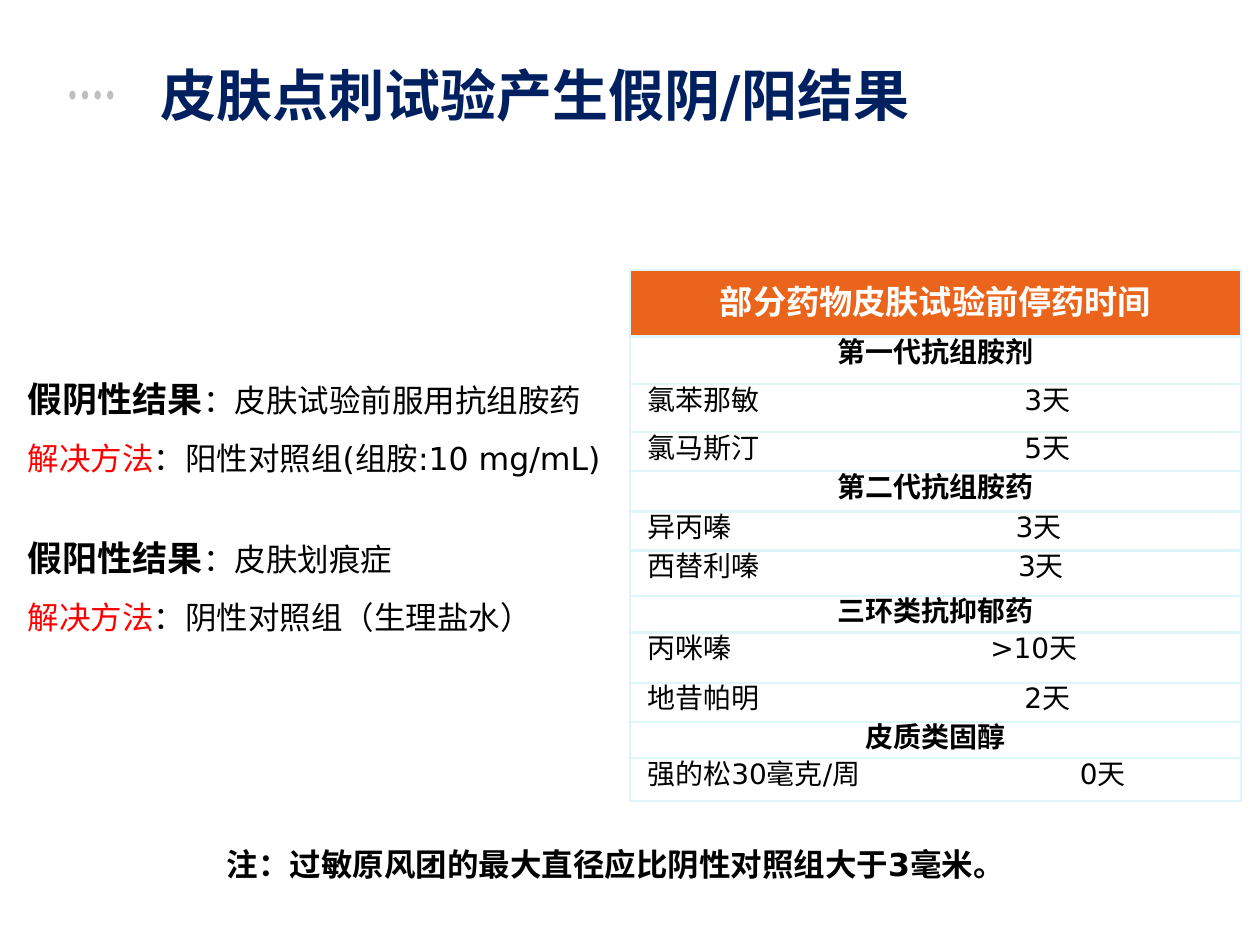
from lxml import etree
from pptx import Presentation
from pptx.dml.color import RGBColor
from pptx.enum.shapes import MSO_SHAPE
from pptx.enum.text import MSO_ANCHOR, MSO_AUTO_SIZE, PP_ALIGN
from pptx.oxml.ns import qn
from pptx.util import Inches, Pt

OVAL = MSO_SHAPE.OVAL
TOP, MIDDLE = MSO_ANCHOR.TOP, MSO_ANCHOR.MIDDLE
NO_AUTOFIT = MSO_AUTO_SIZE.NONE
LEFT, CENTER = PP_ALIGN.LEFT, PP_ALIGN.CENTER

FONT = "DejaVu Sans"
BLACK = RGBColor(0x00, 0x00, 0x00)
WHITE = RGBColor(0xFF, 0xFF, 0xFF)
RED = RGBColor(0xFF, 0x00, 0x00)
NAVY = RGBColor(0x00, 0x20, 0x60)
GRAY = RGBColor(0xBF, 0xBF, 0xBF)
ORANGE = RGBColor(0xEB, 0x64, 0x1B)
PALE_BLUE = RGBColor(0xDE, 0xF5, 0xFA)


def add_run(paragraph, text, size, color=BLACK, bold=False):
    run = paragraph.add_run()
    run.text = text
    formats = {"name": FONT, "size": Pt(size), "bold": bold}
    for name, value in formats.items():
        setattr(run.font, name, value)
    run.font.color.rgb = color
    etree.SubElement(run.font._element, qn("a:ea"), typeface=FONT)


def set_frame(shape, left, top, width, height, wrap=True):
    shape.left, shape.top = Inches(left), Inches(top)
    shape.width, shape.height = Inches(width), Inches(height)
    frame = shape.text_frame
    formats = {"word_wrap": wrap, "auto_size": NO_AUTOFIT, "vertical_anchor": TOP}
    for name, value in formats.items():
        setattr(frame, name, value)
    return frame


presentation = Presentation()
presentation.slide_width, presentation.slide_height = Inches(10), Inches(7.5)
slide = presentation.slides.add_slide(presentation.slide_layouts[3])

# Row of dots beside the title
for index in range(4):
    dot = slide.shapes.add_shape(
        OVAL, Inches(0.55 + 0.1 * index), Inches(0.72), Inches(0.05), Inches(0.07))
    dot.shadow.inherit = False
    dot.fill.solid()
    dot.fill.fore_color.rgb = GRAY
    dot.line.fill.background()

# Title
title = set_frame(slide.shapes.title, 1.17, 0.43, 6.35, 1.17).paragraphs[0]
title.alignment = LEFT
add_run(title, "皮肤点刺试验产生假阴/阳结果", 32, NAVY, True)

# False results and their remedies
results = [
    (1, (0.12, 2.88, 9.46, 1.42), 1.2, 0,
     "假阴性结果", "：皮肤试验前服用抗组胺药", "：阳性对照组(组胺:10 mg/mL)"),
    (2, (0.12, 4.21, 5.32, 0.9), 1.0, 4,
     "假阳性结果", "：皮肤划痕症", "：阴性对照组（生理盐水）"),
]
for placeholder, box, spacing, before, result, cause, remedy in results:
    frame = set_frame(slide.placeholders[placeholder], *box)
    cause_paragraph, remedy_paragraph = frame.paragraphs[0], frame.add_paragraph()
    for paragraph in (cause_paragraph, remedy_paragraph):
        paragraph.line_spacing = spacing
        paragraph.space_before = Pt(0)
        paragraph.space_after = Pt(7)
        properties = paragraph._p.get_or_add_pPr()
        properties.set("marL", "0")
        properties.set("indent", "0")
        etree.SubElement(properties, qn("a:buNone"))
    remedy_paragraph.space_before = Pt(before)
    add_run(cause_paragraph, result, 20, bold=True)
    add_run(cause_paragraph, cause, 18)
    add_run(remedy_paragraph, "解决方法", 18, RED)
    add_run(remedy_paragraph, remedy, 18)

# Withdrawal times: row height, text, tab stop of the time
rows = [
    (0.53, "部分药物皮肤试验前停药时间", None),
    (0.38, "第一代抗组胺剂", None),
    (0.38, "氯苯那敏\t3天", 2.99),
    (0.31, "氯马斯汀\t5天", 2.99),
    (0.32, "第二代抗组胺药", None),
    (0.31, "异丙嗪\t3天", 2.92),
    (0.36, "西替利嗪\t3天", 2.94),
    (0.29, "三环类抗抑郁药", None),
    (0.4, "丙咪嗪\t>10天", 2.72),
    (0.31, "地昔帕明\t2天", 2.99),
    (0.29, "皮质类固醇", None),
    (0.34, "强的松30毫克/周\t0天", 3.43),
]
table = slide.shapes.add_table(
    len(rows), 1, Inches(5), Inches(2.14), Inches(4.85), Inches(4.19)).table
for index, (height, text, tab_stop) in enumerate(rows):
    table.rows[index].height = Inches(height)
    cell = table.cell(index, 0)
    is_header, is_group = index == 0, tab_stop is None
    formats = {
        "margin_left": Inches(0 if is_group else 0.14),
        "margin_right": 0, "margin_top": 0, "margin_bottom": 0,
        "vertical_anchor": MIDDLE if is_header else TOP,
    }
    for name, value in formats.items():
        setattr(cell, name, value)

    # Borders come before the fill in the cell properties
    for side in ("a:lnL", "a:lnR", "a:lnT", "a:lnB"):
        border = etree.SubElement(cell._tc.get_or_add_tcPr(), qn(side), w=str(Pt(1.5)))
        fill = etree.SubElement(border, qn("a:solidFill"))
        etree.SubElement(fill, qn("a:srgbClr"), val=str(PALE_BLUE))
    cell.fill.solid()
    cell.fill.fore_color.rgb = ORANGE if is_header else WHITE

    paragraph = cell.text_frame.paragraphs[0]
    paragraph.alignment = CENTER if is_group else LEFT
    if not is_group:
        tabs = etree.SubElement(paragraph._p.get_or_add_pPr(), qn("a:tabLst"))
        etree.SubElement(tabs, qn("a:tab"), pos=str(Inches(tab_stop)), algn="l")
    add_run(paragraph, text, 19 if is_header else 16,
            WHITE if is_header else BLACK, is_group)

# Note
note = slide.shapes.add_textbox(0, 0, 0, 0)
frame = set_frame(note, 1.7, 6.66, 6.59, 0.4, wrap=False)
add_run(frame.paragraphs[0], "注：过敏原风团的最大直径应比阴性对照组大于3毫米。", 18, bold=True)

presentation.save("out.pptx")
